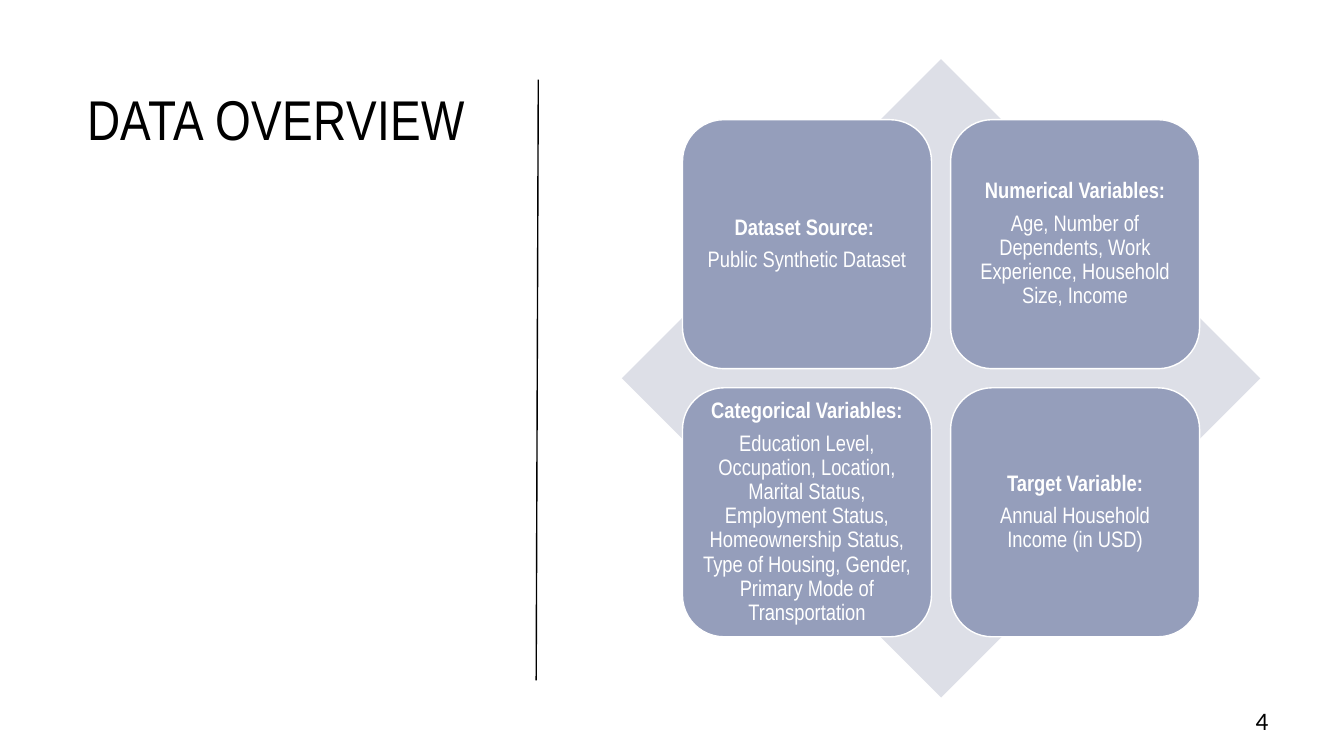
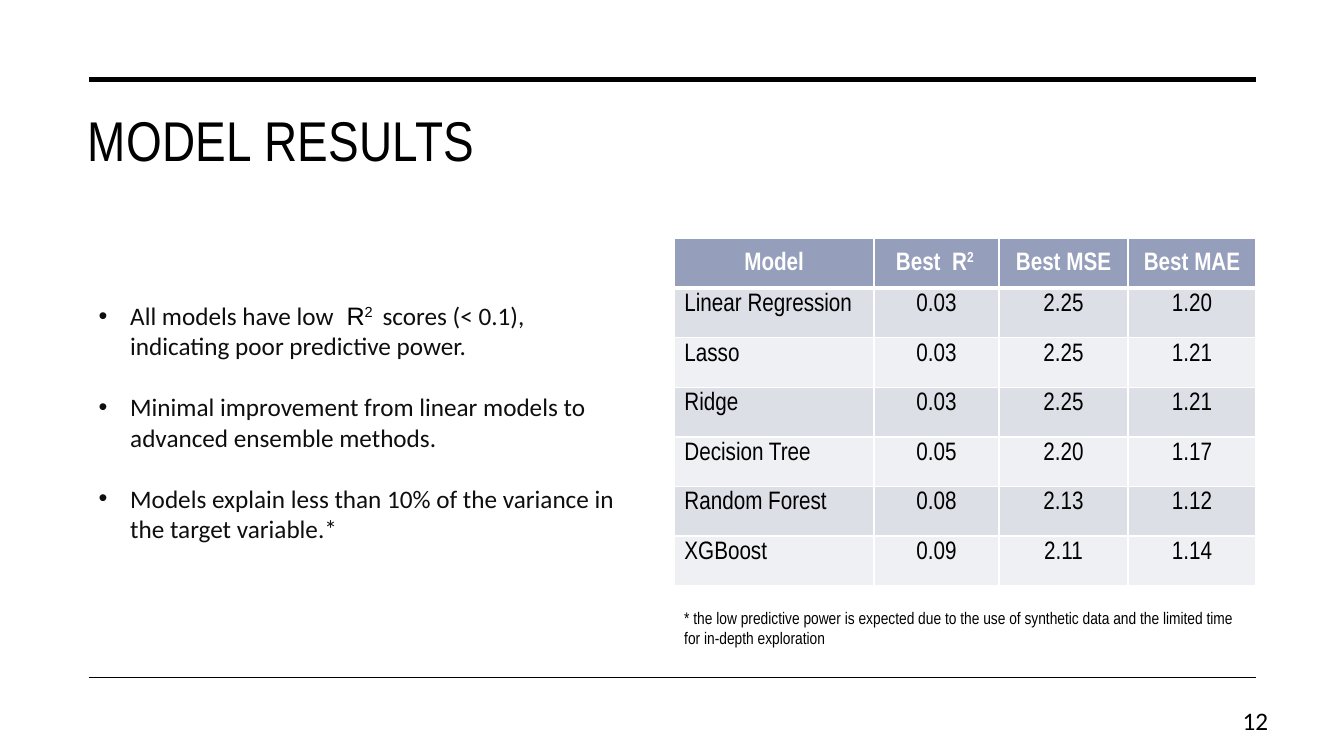
from lxml import etree
from pptx import Presentation
from pptx.dml.color import RGBColor
from pptx.enum import shapes, text
from pptx.oxml.ns import qn
from pptx.util import Pt

COLORS = {"ink": "000000", "body": "0E0E0E", "white": "FFFFFF",
          "slate": "959EBB", "mist": "DDDFE7", "pale": "EFF0F3"}
NARROW, SANS, BODY = "Arial Narrow", "Arial", "Calibri"
LEFT, CENTER, RIGHT = text.PP_ALIGN.LEFT, text.PP_ALIGN.CENTER, text.PP_ALIGN.RIGHT
TOP, MIDDLE = text.MSO_ANCHOR.TOP, text.MSO_ANCHOR.MIDDLE
WIDTH, HEIGHT = 960, 540
RULE_LEFT, RULE_RIGHT = 63.4, 897.1


def rgb(name):
    return RGBColor.from_string(COLORS[name])


# Shared text and line helpers
def add_run(para, words, size, font=NARROW, color="ink", bold=False, raised=False):
    span = para.add_run()
    span.text = words
    span.font.size = Pt(size)
    span.font.name = font
    span.font.bold = bold
    span.font.color.rgb = rgb(color)
    if raised:
        span._r.get_or_add_rPr().set("baseline", "30000")
    return span


def add_box(page, left, top, width, height, anchor=TOP):
    frame = page.shapes.add_textbox(Pt(left), Pt(top), Pt(width), Pt(height)).text_frame
    frame.word_wrap = True
    frame.vertical_anchor = anchor
    return frame


def add_line(page, start, end, weight):
    line = page.shapes.add_connector(shapes.MSO_CONNECTOR.STRAIGHT,
                                     *(Pt(value) for value in start + end))
    line.line.color.rgb = rgb("ink")
    line.line.width = Pt(weight)
    etree.SubElement(line._element.spPr, qn("a:effectLst"))


def add_shape(page, kind, left, top, size, fill):
    shape = page.shapes.add_shape(kind, Pt(left), Pt(top), Pt(size), Pt(size))
    shape.shadow.inherit = False
    shape.fill.solid()
    shape.fill.fore_color.rgb = rgb(fill)
    shape.line.fill.background()
    return shape


# Shared slide parts
def add_page(deck, title, number, title_top, title_width, title_height):
    page = deck.slides.add_slide(deck.slide_layouts[6])
    frame = add_box(page, 55.4, title_top, title_width, title_height)
    span = add_run(frame.paragraphs[0], title, 40)
    span._r.get_or_add_rPr().set("spc", "30")
    para = add_box(page, 860, 500.4, 53, 29, MIDDLE).paragraphs[0]
    para.alignment = RIGHT
    add_run(para, str(number), 18, BODY)
    return page


# Four tiles over a diamond
def add_tiles(page, left, top, size, tiles):
    add_shape(page, shapes.MSO_SHAPE.DIAMOND, left, top, size, "mist")
    tile_size, inset = size * 0.39, size * 0.095
    step = size - 2 * inset - tile_size
    for index, (heading, detail) in enumerate(tiles):
        row, col = divmod(index, 2)
        tile = add_shape(page, shapes.MSO_SHAPE.ROUNDED_RECTANGLE,
                         left + inset + col * step, top + inset + row * step,
                         tile_size, "slate")
        tile.line.color.rgb = rgb("white")
        tile.line.width = Pt(1)
        frame = tile.text_frame
        frame.word_wrap = True
        frame.vertical_anchor = MIDDLE
        frame.margin_left = frame.margin_right = Pt(5)
        frame.margin_top = frame.margin_bottom = Pt(5)
        for para, words, bold in ((frame.paragraphs[0], heading, True),
                                  (frame.add_paragraph(), detail, False)):
            para.alignment = CENTER
            para.line_spacing = 0.9
            para.space_after = Pt(6)
            add_run(para, words, 16, color="white", bold=bold)


# Bulleted findings, each a list of (words, font, color, raised)
def add_findings(page, left, top, width, height, findings):
    frame = add_box(page, left, top, width, height)
    for index, runs in enumerate(findings):
        para = frame.add_paragraph() if index else frame.paragraphs[0]
        if index:
            para.space_before = Pt(22)
        props = para._p.get_or_add_pPr()
        props.set("marL", str(Pt(22.5)))
        props.set("indent", str(-Pt(22.5)))
        etree.SubElement(props, qn("a:buFont")).set("typeface", SANS)
        etree.SubElement(props, qn("a:buChar")).set("char", "•")
        for words, font, color, raised in runs:
            add_run(para, words, 18, font, color, raised=raised)


def set_borders(cell, weights):
    props = cell._tc.get_or_add_tcPr()
    for index, (side, weight) in enumerate(weights.items()):
        edge = etree.Element(qn("a:ln" + side), w=str(Pt(weight)))
        fill = etree.SubElement(edge, qn("a:solidFill"))
        etree.SubElement(fill, qn("a:srgbClr")).set("val", COLORS["white"])
        props.insert(index, edge)


# Score table, header cells as lists of (words, raised)
def add_scores(page, left, top, widths, row_height, header, rows):
    count = len(rows) + 1
    table = page.shapes.add_table(count, len(widths), Pt(left), Pt(top),
                                  Pt(sum(widths)), Pt(row_height * count)).table
    table.horz_banding = False
    for column, width in zip(table.columns, widths):
        column.width = Pt(width)
    body = [[[(words, False)] for words in row] for row in rows]
    for r, row in enumerate([header] + body):
        table.rows[r].height = Pt(row_height)
        is_header = r == 0
        fill = "slate" if is_header else ("mist" if r % 2 else "pale")
        for c, runs in enumerate(row):
            cell = table.cell(r, c)
            cell.fill.solid()
            cell.fill.fore_color.rgb = rgb(fill)
            cell.vertical_anchor = MIDDLE if is_header else TOP
            para = cell.text_frame.paragraphs[0]
            para.alignment = CENTER if is_header or c else LEFT
            for words, raised in runs:
                add_run(para, words, 18, color="white" if is_header else "ink",
                        bold=is_header, raised=raised)
            set_borders(cell, {"L": 1, "R": 1, "T": 3 if r == 1 else 1,
                               "B": 3 if is_header else 1})


def build_overview(deck):
    page = add_page(deck, "DATA OVERVIEW", 4, 56.9, 285, 429)
    add_line(page, (383, 486), (384.5, 56.9), 1)
    add_tiles(page, 444.2, 42.2, 456, [
        ("Dataset Source: ", "Public Synthetic Dataset"),
        ("Numerical Variables:",
         "Age, Number of Dependents, Work Experience, Household Size, Income"),
        ("Categorical Variables:",
         "Education Level, Occupation, Location, Marital Status, Employment Status, "
         "Homeownership Status, Type of Housing, Gender, Primary Mode of Transportation"),
        ("Target Variable:", "Annual Household Income (in USD)"),
    ])


def build_results(deck):
    page = add_page(deck, "MODEL RESULTS", 12, 72, 841.7, 61)
    for y, weight in ((56.9, 3.5), (483.8, 1)):
        add_line(page, (RULE_LEFT, y), (RULE_RIGHT, y), weight)
    add_scores(
        page, 481.7, 170.6, [142.6, 89.3, 92.2, 91.4], 35.4,
        [[("Model", False)], [("Best  R", False), ("2 ", True)],
         [("Best MSE", False)], [("Best MAE", False)]],
        [("Linear Regression", "0.03", "2.25", "1.20"),
         ("Lasso", "0.03", "2.25", "1.21"),
         ("Ridge", "0.03", "2.25", "1.21"),
         ("Decision Tree", "0.05", "2.20", "1.17"),
         ("Random Forest", "0.08", "2.13", "1.12"),
         ("XGBoost", "0.09", "2.11", "1.14")])
    add_findings(page, RULE_LEFT, 211, 392.4, 203.8, [
        [("All models have low ", BODY, "body", False),
         (" R", SANS, "ink", False), ("2 ", SANS, "ink", True),
         (" scores (< 0.1), indicating poor predictive power.", BODY, "body", False)],
        [("Minimal improvement from linear models to advanced ensemble methods.",
          BODY, "body", False)],
        [("Models explain less than 10% of the variance in the target variable.*",
          BODY, "body", False)],
    ])
    # Footnote under the table
    note = add_box(page, 481.7, 430.6, 415.4, 58)
    add_run(note.paragraphs[0],
            "* the low predictive power is expected due to the use of synthetic data "
            "and the limited time for in-depth exploration", 12)


def main():
    deck = Presentation()
    deck.slide_width, deck.slide_height = Pt(WIDTH), Pt(HEIGHT)
    build_overview(deck)
    build_results(deck)
    deck.save("out.pptx")


if __name__ == "__main__":
    main()
